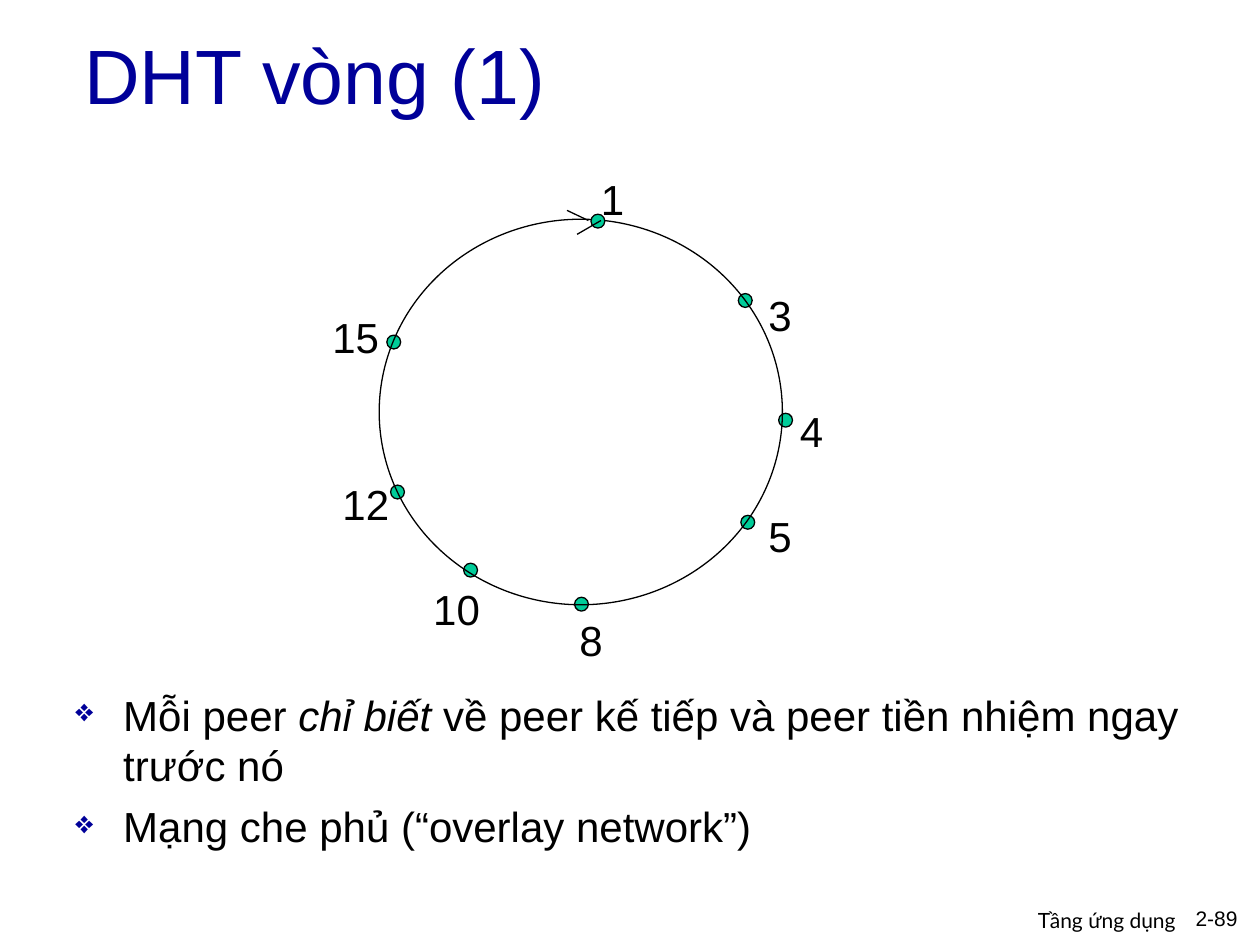
from dataclasses import dataclass
from lxml.etree import SubElement
from pptx import Presentation
from pptx.dml.color import RGBColor
from pptx.enum.shapes import MSO_CONNECTOR, MSO_SHAPE
from pptx.enum.text import MSO_ANCHOR as Anchor, PP_ALIGN as Align
from pptx.oxml.ns import qn
from pptx.util import Inches, Pt

COLORS = {"title": "000099", "text": "000000", "node": "00CC99"}
DOT = 0.11


@dataclass(frozen=True)
class Peer:
    name: str
    dot: tuple[float, float]
    label: tuple[float, float]


PEERS = [
    Peer("3", (5.86, 2.33), (6, 2.25)),
    Peer("4", (6.18, 3.28), (6.25, 3.17)),
    Peer("5", (5.88, 4.09), (6, 4)),
    Peer("8", (4.56, 4.74), (4.5, 4.83)),
    Peer("10", (3.68, 4.47), (3.34, 4.58)),
    Peer("12", (3.1, 3.85), (2.62, 3.75)),
    Peer("15", (3.07, 2.66), (2.54, 2.42)),
]
FIRST_PEER = Peer("1", (4.69, 1.7), (4.67, 1.33))
ARROW_STROKES = [((4.5, 1.67), (4.67, 1.75)), ((4.77, 1.75), (4.58, 1.86))]
BULLETS = [
    [("Mỗi peer ", False), ("chỉ biết ", True),
     ("về peer kế tiếp và peer tiền nhiệm ngay trước nó", False)],
    [("Mạng che phủ (“overlay network”)", False)],
]


def rgb(key: str) -> RGBColor:
    return RGBColor.from_string(COLORS[key])


def set_font(font, size: float, color: str = "text", **values) -> None:
    for name, value in {"name": "Arial", "size": Pt(size), **values}.items():
        setattr(font, name, value)
    font.color.rgb = rgb(color)


def add_box(s, left: float, top: float, width: float, height: float, **values):
    tf = s.shapes.add_textbox(*map(Inches, (left, top, width, height))).text_frame
    for name, value in {"word_wrap": True, **values}.items():
        setattr(tf, name, value)
    return tf


def add_text(s, text: str, box: tuple, size: float, color: str = "text",
             font: str = "Arial", align=Align.LEFT, **values) -> None:
    p = add_box(s, *box, **values).paragraphs[0]
    p.alignment = align
    r = p.add_run()
    r.text = text
    set_font(r.font, size, color, name=font)


def add_ellipse(s, left: float, top: float, width: float, height: float,
                fill: str | None = None) -> None:
    sp = s.shapes.add_shape(MSO_SHAPE.OVAL, *map(Inches, (left, top, width, height)))
    sp.shadow.inherit = False
    if fill:
        sp.fill.solid()
        sp.fill.fore_color.rgb = rgb(fill)
    else:
        sp.fill.background()
    sp.line.color.rgb = rgb("text")
    sp.line.width = Pt(0.75)


def add_dot(s, peer: Peer) -> None:
    add_ellipse(s, *peer.dot, DOT, DOT, "node")


def add_label(s, peer: Peer) -> None:
    width = 0.19 + 0.19 * len(peer.name)
    add_text(s, peer.name, (*peer.label, width, 0.5), 24, word_wrap=False)


def add_line(s, start: tuple, end: tuple) -> None:
    line = s.shapes.add_connector(MSO_CONNECTOR.STRAIGHT, *map(Inches, start + end))
    line.line.color.rgb = rgb("text")
    line.line.width = Pt(0.75)
    SubElement(line._element.spPr, qn("a:effectLst"))


def add_bullet(p) -> None:
    pPr = p._p.get_or_add_pPr()
    pPr.set("marL", str(Inches(0.38)))
    pPr.set("indent", str(-Inches(0.38)))
    color = SubElement(pPr, qn("a:buClr"))
    SubElement(color, qn("a:srgbClr"), val=COLORS["title"])
    SubElement(pPr, qn("a:buSzPct"), val="75000")
    SubElement(pPr, qn("a:buChar"), char="❖")


def main() -> None:
    prs = Presentation()
    prs.slide_width, prs.slide_height = Inches(10), Inches(7.5)
    s = prs.slides.add_slide(prs.slide_layouts[6])

    # Ring of peers
    for peer in PEERS:
        add_dot(s, peer)
    add_ellipse(s, 3.01, 1.74, 3.2, 3.06)
    for peer in [FIRST_PEER, *PEERS]:
        add_label(s, peer)
    add_dot(s, FIRST_PEER)

    # Direction arrow
    for start, end in ARROW_STROKES:
        add_line(s, start, end)

    # Title
    add_text(s, "DHT vòng (1)", (0.57, 0, 8.5, 1.17), 44, "title",
             vertical_anchor=Anchor.MIDDLE)

    # Bullets
    tf = add_box(s, 0.5, 5.42, 9, 1.67)
    for i, parts in enumerate(BULLETS):
        p = tf.add_paragraph() if i else tf.paragraphs[0]
        add_bullet(p)
        p.space_before = Pt(6 if i else 0)
        for text, italic in parts:
            r = p.add_run()
            r.text = text
            set_font(r.font, 24, italic=italic)

    # Footer
    add_text(s, "2-89", (8.33, 7.14, 1.59, 0.31), 12, align=Align.RIGHT)
    add_text(s, "Tầng ứng dụng", (6.26, 7.15, 3.17, 0.31), 12, font="Lato",
             align=Align.RIGHT)

    prs.save("out.pptx")


if __name__ == "__main__":
    main()
